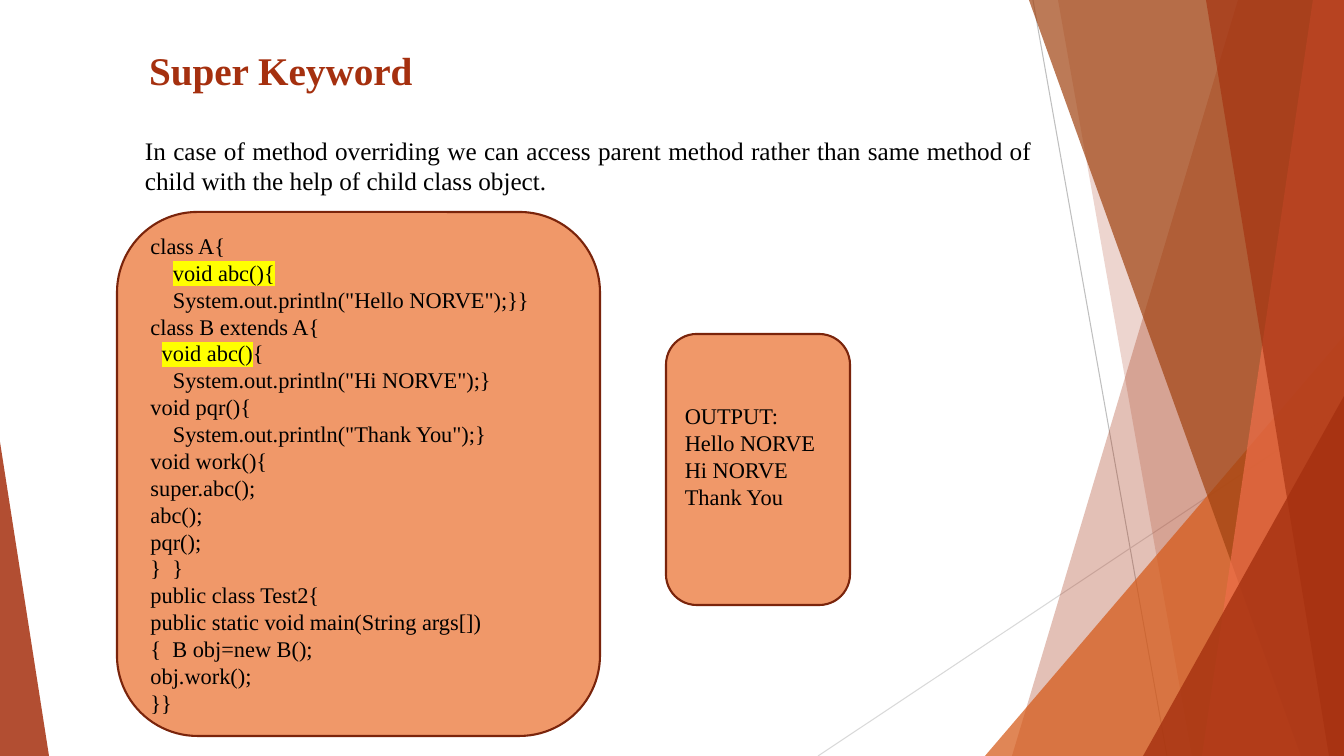
import pptx
import pptx.util
import pptx.dml.color
import pptx.enum.shapes
import pptx.enum.text
import pptx.oxml
import pptx.oxml.ns

RGB = pptx.dml.color.RGBColor
SHAPE = pptx.enum.shapes.MSO_SHAPE
ALIGN = pptx.enum.text.PP_ALIGN
ANCHOR = pptx.enum.text.MSO_ANCHOR
qn = pptx.oxml.ns.qn

RUST = RGB(0xA5, 0x30, 0x0F)
ORANGE = RGB(0xD5, 0x58, 0x16)
BROWN = RGB(0xA0, 0x42, 0x10)
CORAL = RGB(0xEE, 0x6E, 0x4A)
PEACH = RGB(0xF0, 0x98, 0x69)
OUTLINE = RGB(0x7A, 0x24, 0x0B)
GREY = RGB(0xBF, 0xBF, 0xBF)
PALE_GREY = RGB(0xD9, 0xD9, 0xD9)
BLACK = RGB(0, 0, 0)
YELLOW = RGB(0xFF, 0xFF, 0)

WIDTH, HEIGHT = 1344, 756
FONT = "Times New Roman"
SPACE_PT = 4

BANDS = [
    (1238, 1012, RUST, 30),
    (1058, 1192, RUST, 20),
    (1029, 1301, BROWN, 70),
    (1313, 1202, CORAL, 70),
    (1206, 1329, RUST, 65),
]

CODE = [
    (0, "", "class A{"),
    (4, "void abc(){", ""),
    (4, "", 'System.out.println("Hello NORVE");}}'),
    (0, "", "class B extends A{"),
    (2, "void abc()", "{"),
    (4, "", 'System.out.println("Hi NORVE");}'),
    (0, "", "void pqr(){"),
    (4, "", 'System.out.println("Thank You");}'),
    (0, "", "void work(){"),
    (0, "", "super.abc();"),
    (0, "", "abc();"),
    (0, "", "pqr();"),
    (0, "", "}  }"),
    (0, "", "public class Test2{"),
    (0, "", "public static void main(String args[])"),
    (0, "", "{  B obj=new B();"),
    (0, "", "obj.work();"),
    (0, "", "}}"),
]

OUTPUT = [(0, "", line) for line in ("OUTPUT:", "Hello NORVE", "Hi NORVE", "Thank You")]


def px(n):
    return pptx.util.Emu(round(n * 12192000 / WIDTH))


class Deck:
    """Holds the presentation style and draws elements on the current slide."""

    def __init__(self):
        self.prs = pptx.Presentation()
        self.prs.slide_width = px(WIDTH)
        self.prs.slide_height = px(HEIGHT)
        self.s = self.prs.slides.add_slide(self.prs.slide_layouts[5])

    def paint(self, sp, color, opacity):
        sp.shadow.inherit = False
        sp.fill.solid()
        sp.fill.fore_color.rgb = color
        sp.line.fill.background()
        clr = sp.fill._xPr.find(qn("a:solidFill"))[0]
        alpha = pptx.oxml.parse_xml(
            f'<a:alpha {pptx.oxml.ns.nsdecls("a")} val="{opacity * 1000}"/>')
        clr.append(alpha)

    def line(self, x1, y1, x2, y2, color):
        c = self.s.shapes.add_connector(
            pptx.enum.shapes.MSO_CONNECTOR.STRAIGHT, px(x1), px(y1), px(x2), px(y2))
        c.line.color.rgb = color
        c.line.width = pptx.util.Pt(0.75)
        c._element.spPr.append(
            pptx.oxml.parse_xml(f'<a:effectLst {pptx.oxml.ns.nsdecls("a")}/>'))

    def band(self, top_x, bottom_x, color, opacity):
        fb = self.s.shapes.build_freeform(px(top_x), 0)
        corners = [(WIDTH, 0), (WIDTH, HEIGHT), (bottom_x, HEIGHT)]
        fb.add_line_segments([(px(x), px(y)) for x, y in corners], close=True)
        self.paint(fb.convert_to_shape(), color, opacity)

    def triangle(self, x, y, w, apex, color, opacity):
        sp = self.s.shapes.add_shape(
            SHAPE.ISOSCELES_TRIANGLE, px(x), px(y), px(w), px(HEIGHT - y))
        sp.adjustments[0] = apex
        self.paint(sp, color, opacity)

    def run(self, p, text, size, color=BLACK, bold=False, highlight=None):
        r = p.add_run()
        r.text = text
        r.font.name = FONT
        r.font.size = pptx.util.Pt(size)
        r.font.bold = bold
        r.font.color.rgb = color
        if highlight is not None:
            mark = pptx.oxml.parse_xml(
                f'<a:highlight {pptx.oxml.ns.nsdecls("a")}>'
                f'<a:srgbClr val="{highlight}"/></a:highlight>')
            r._r.rPr.find(qn("a:solidFill")).addnext(mark)

    def title(self, x, y, w, h, text):
        sp = self.s.shapes.title
        sp.left, sp.top, sp.width, sp.height = px(x), px(y), px(w), px(h)
        tf = sp.text_frame
        tf.auto_size = pptx.enum.text.MSO_AUTO_SIZE.NONE
        tf.vertical_anchor = ANCHOR.TOP
        tf.margin_left = px(20)
        p = tf.paragraphs[0]
        p.alignment = ALIGN.LEFT
        self.run(p, text, 28, RUST, bold=True)

    def text(self, x, y, w, h, text):
        tf = self.s.shapes.add_textbox(px(x), px(y), px(w), px(h)).text_frame
        tf.word_wrap = True
        p = tf.paragraphs[0]
        p.alignment = ALIGN.JUSTIFY
        self.run(p, text, 18)

    def panel(self, x, y, w, h, lines, bottom=5):
        sp = self.s.shapes.add_shape(
            SHAPE.ROUNDED_RECTANGLE, px(x), px(y), px(w), px(h))
        sp.shadow.inherit = False
        sp.fill.solid()
        sp.fill.fore_color.rgb = PEACH
        sp.line.color.rgb = OUTLINE
        sp.line.width = pptx.util.Pt(1.5)
        tf = sp.text_frame
        tf.word_wrap = True
        tf.vertical_anchor = ANCHOR.MIDDLE
        tf.margin_bottom = px(bottom)
        for i, (indent, marked, plain) in enumerate(lines):
            p = tf.add_paragraph() if i else tf.paragraphs[0]
            p.alignment = ALIGN.LEFT
            p._p.get_or_add_pPr().set("marL", str(pptx.util.Pt(indent * SPACE_PT)))
            if marked:
                self.run(p, marked, 16, highlight=YELLOW)
            if plain:
                self.run(p, plain, 16)


def main():
    deck = Deck()
    deck.line(1033, 0, 1167, HEIGHT, GREY)
    deck.line(WIDTH, 406, 818, HEIGHT, PALE_GREY)
    for band in BANDS[:2]:
        deck.band(*band)
    deck.triangle(985, 336, 359, 1, ORANGE, 72)
    for band in BANDS[2:]:
        deck.band(*band)
    deck.triangle(1143, 396, 201, 1, RUST, 80)
    deck.triangle(0, 442, 49, 0, RUST, 85)
    deck.title(129, 41, 808, 85, "Super Keyword")
    deck.text(135, 130, 907, 72,
              "In case of method overriding we can access parent method rather than "
              "same method of child with the help of child class object.")
    deck.panel(117, 212, 483, 524, CODE)
    deck.panel(666, 334, 184, 271, OUTPUT, bottom=32)
    deck.prs.save("out.pptx")


if __name__ == "__main__":
    main()
